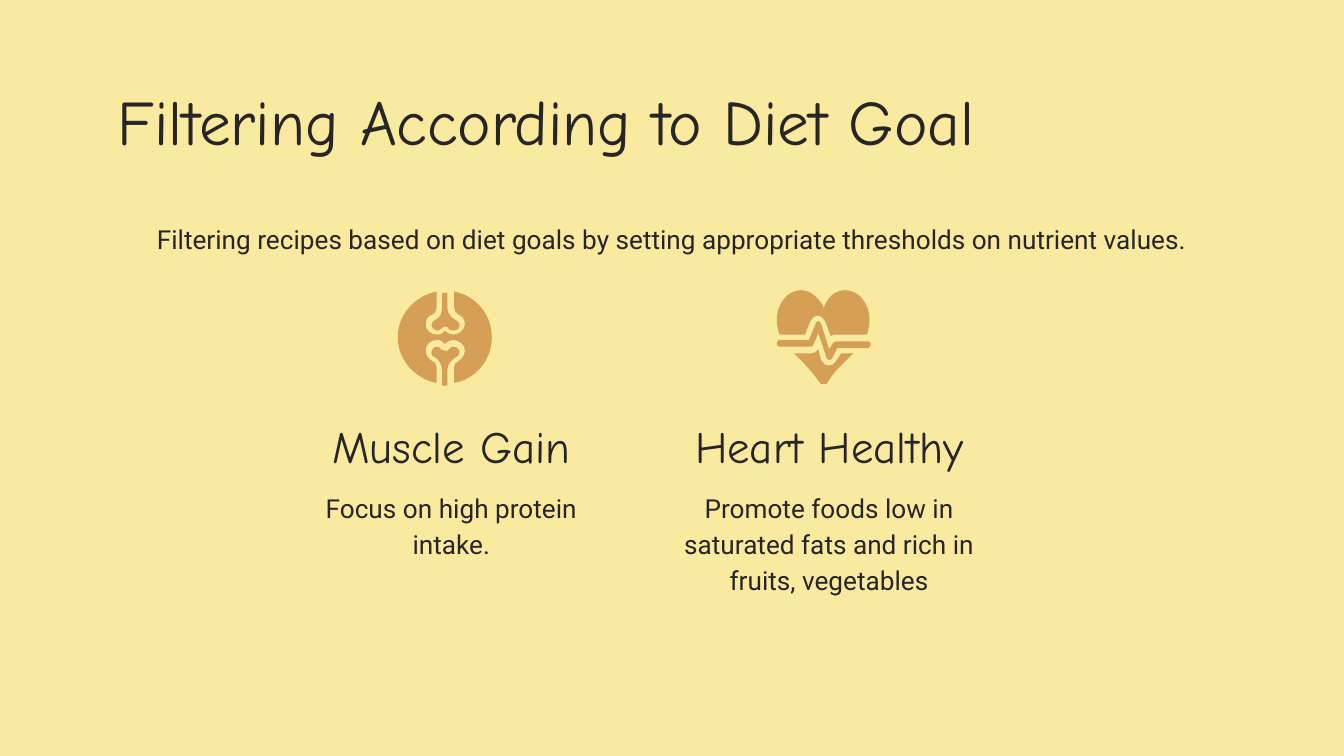
from pptx import Presentation
from pptx.dml.color import RGBColor
from pptx.enum.text import MSO_ANCHOR as Anchor, MSO_AUTO_SIZE as AutoSize, PP_ALIGN as Align
from pptx.oxml.ns import qn
from pptx.oxml.xmlchemy import OxmlElement
from pptx.util import Cm, Pt

BACKGROUND = RGBColor(0xF9, 0xEA, 0xA0)
INK = RGBColor(0x27, 0x25, 0x25)
ACCENT = RGBColor(0xD5, 0x9F, 0x56)
HEADING_FONT, BODY_FONT = "Comic Neue", "Roboto"
ICON_UNIT = Cm(2.54) / 100

# Icon outlines in icon units: a start point, then lines (x, y)
# and Bézier curves (two control points and an end point)
PULSE = [
    (609, 239), (608, 239, 607, 240, 607, 241), (602, 253), (580, 253),
    (579, 253, 578, 254, 578, 256), (578, 257, 579, 258, 580, 258), (604, 258),
    (604, 258, 605, 258, 605, 257), (609, 248), (615, 266),
    (615, 267, 616, 267, 617, 268), (618, 268, 618, 267, 619, 267), (623, 259),
    (646, 259), (647, 259, 648, 257, 648, 256), (648, 255, 647, 254, 646, 254),
    (622, 254), (621, 254, 621, 254, 620, 255), (617, 260), (611, 241),
    (611, 240, 610, 239, 609, 239)]
HEART_TOP = [
    (596, 216), (586, 216, 578, 226, 578, 238), (578, 243, 579, 246, 580, 249),
    (599, 249), (603, 239), (604, 237, 606, 235, 608, 235),
    (611, 235, 613, 237, 614, 239), (618, 250), (619, 249, 620, 249, 621, 249),
    (645, 249), (646, 246, 647, 242, 647, 238), (647, 226, 639, 216, 629, 216),
    (620, 216, 615, 223, 613, 229), (610, 223, 604, 216, 596, 216)]
HEART_TIP = [
    (609, 260), (607, 262, 606, 263, 604, 263), (591, 263),
    (592, 264, 593, 265, 594, 266), (600, 272, 605, 278, 611, 286),
    (612, 286, 612, 286, 613, 286), (614, 286, 614, 286, 615, 286),
    (620, 277, 626, 272, 632, 266), (633, 265, 634, 264, 635, 263), (626, 263),
    (622, 269), (621, 271, 619, 272, 617, 272), (616, 272),
    (614, 272, 612, 270, 611, 268), (609, 260)]
UPPER_BONE = [
    (329, 218), (329, 229), (329, 233, 327, 237, 324, 238),
    (322, 239, 321, 240, 321, 242), (321, 244, 323, 246, 325, 246),
    (326, 246, 328, 246, 328, 245), (329, 244, 330, 243, 331, 243),
    (333, 243, 334, 244, 334, 245), (335, 246, 336, 246, 338, 246),
    (340, 246, 342, 245, 342, 242), (342, 241, 341, 239, 339, 238),
    (336, 237, 333, 233, 333, 230), (333, 218), (333, 218, 332, 218, 331, 218)]
JOINT_DISC = [
    (325, 217), (309, 220, 296, 234, 296, 251), (296, 268, 309, 282, 325, 285),
    (325, 274), (325, 272, 324, 269, 322, 269), (319, 267, 317, 265, 317, 262),
    (316, 256, 321, 253, 325, 253), (328, 253, 330, 254, 331, 256),
    (333, 254, 335, 253, 337, 253), (341, 253, 346, 256, 346, 261),
    (346, 264, 344, 267, 341, 269), (339, 270, 338, 271, 338, 273), (338, 285),
    (354, 282, 366, 268, 366, 251), (366, 234, 354, 220, 338, 217), (338, 229),
    (338, 231, 339, 233, 341, 234), (344, 235, 346, 238, 346, 241),
    (346, 246, 341, 249, 337, 249), (335, 249, 333, 248, 331, 246),
    (330, 248, 328, 249, 325, 249), (321, 249, 316, 246, 317, 240),
    (317, 237, 319, 235, 322, 234), (324, 233, 325, 230, 325, 228), (325, 217)]
LOWER_BONE = [
    (337, 258), (336, 258, 335, 259, 334, 260), (334, 261, 333, 261, 331, 261),
    (330, 261, 329, 261, 328, 260), (328, 259, 327, 258, 325, 258),
    (323, 258, 321, 260, 321, 263), (321, 264, 322, 266, 324, 266),
    (327, 268, 329, 272, 329, 276), (329, 287), (330, 287, 331, 287, 331, 287),
    (333, 287), (333, 275), (333, 271, 336, 268, 339, 266),
    (341, 265, 342, 264, 342, 262), (342, 260, 340, 258, 337, 258)]


def write(box, text, place, font, size, align=Align.CENTER, anchor=Anchor.TOP, spacing=1.15):
    """Place a box and set its single paragraph."""
    box.left, box.top, box.width, box.height = (Cm(length) for length in place)
    frame = box.text_frame
    frame.text = text
    frame.word_wrap = True
    frame.auto_size = AutoSize.NONE
    frame.vertical_anchor = anchor
    frame.margin_left = frame.margin_right = Cm(0.25)
    frame.margin_top = frame.margin_bottom = Cm(0.25)
    paragraph = frame.paragraphs[0]
    properties = paragraph._p.get_or_add_pPr()
    properties.set("marL", "0")
    properties.set("indent", "0")
    properties.append(OxmlElement("a:buNone"))
    paragraph.alignment = align
    paragraph.line_spacing = spacing
    paragraph.space_before = Pt(0)
    paragraph.font.name = font
    paragraph.font.size = Pt(size)
    paragraph.font.bold = False
    paragraph.font.color.rgb = INK


def draw_outline(group, outline):
    """Build an outline through its end points, then bend the curved segments."""
    ends = [segment[-2:] for segment in outline]
    left, top = (min(values) for values in zip(*ends))
    builder = group.shapes.build_freeform(*ends[0], scale=ICON_UNIT)
    builder.add_line_segments(ends[1:], close=True)
    part = builder.convert_to_shape()
    lines = list(part._element.iter(qn("a:lnTo")))
    for line, segment in zip(lines, outline[1:]):
        if len(segment) == 6:
            curve = OxmlElement("a:cubicBezTo")
            for x, y in zip(segment[::2], segment[1::2]):
                point = OxmlElement("a:pt")
                point.set("x", str(x - left))
                point.set("y", str(y - top))
                curve.append(point)
            line.getparent().replace(line, curve)
    part.shadow.inherit = False
    part.fill.solid()
    part.fill.fore_color.rgb = ACCENT
    part.line.fill.background()


presentation = Presentation()
presentation.slide_width, presentation.slide_height = Cm(25.4), Cm(14.29)

# The Comparison layout has a title and two heading and text pairs
slide = presentation.slides.add_slide(presentation.slide_layouts[4])
slide.background.fill.solid()
slide.background.fill.fore_color.rgb = BACKGROUND

# Title and introduction
write(slide.shapes.title, "Filtering According to Diet Goal", (1.98, 1.3, 21.44, 1.78),
      HEADING_FONT, 34, align=Align.LEFT, spacing=1.0)
introduction = slide.shapes.add_textbox(0, 0, 0, 0)
write(introduction,
      "Filtering recipes based on diet goals by setting appropriate thresholds on nutrient values.",
      (1.55, 3.89, 22.3, 1.24), BODY_FONT, 14)

# Diet goals: icon, heading and description
goals = [
    ("Muscle Gain", "Focus on high protein intake.",
     [UPPER_BONE, JOINT_DISC, LOWER_BONE]),
    ("Heart Healthy", "Promote foods low in saturated fats and rich in fruits, vegetables",
     [PULSE, HEART_TOP, HEART_TIP]),
]
for column, (goal, description, outlines) in enumerate(goals):
    left = 5.23 + 7.14 * column
    write(slide.placeholders[1 + 2 * column], goal, (left, 7.95, 6.6, 1.24),
          HEADING_FONT, 24, anchor=Anchor.BOTTOM)
    write(slide.placeholders[2 + 2 * column], description, (left, 8.97, 6.6, 3.71),
          BODY_FONT, 14)
    icon = slide.shapes.add_group_shape()
    for outline in outlines:
        draw_outline(icon, outline)

presentation.save("out.pptx")
